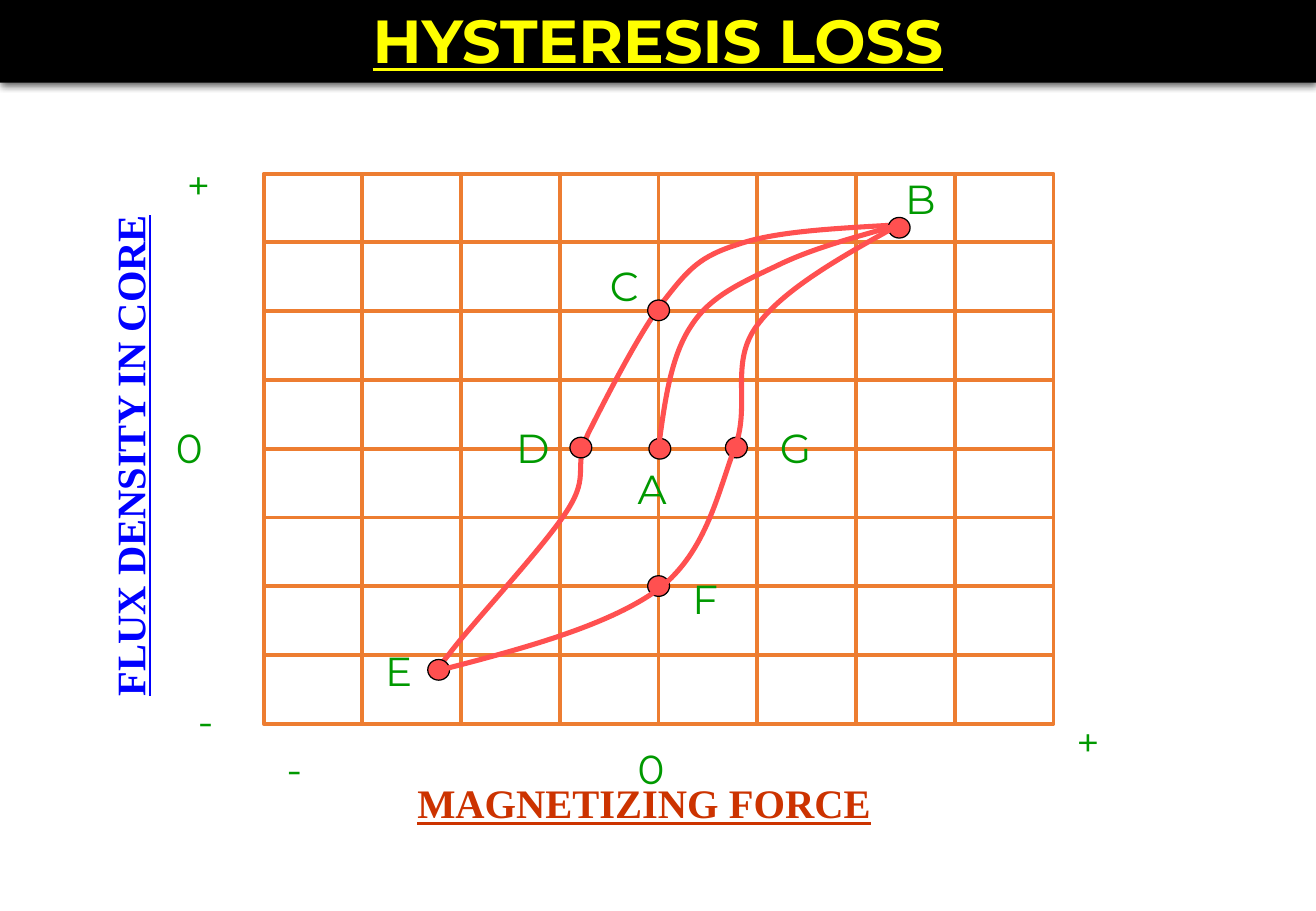
import lxml.etree
import pptx
import pptx.dml.color
import pptx.enum.shapes
import pptx.enum.text
import pptx.oxml
import pptx.util

Inches = pptx.util.Inches
Pt = pptx.util.Pt
SHAPE = pptx.enum.shapes.MSO_SHAPE
STRAIGHT = pptx.enum.shapes.MSO_CONNECTOR.STRAIGHT
ALIGN = pptx.enum.text.PP_ALIGN
qn = pptx.oxml.ns.qn

GREEN, ORANGE, RED = "009900", "ED7D31", "FF5050"
SANS, SERIF = "Montserrat", "Times New Roman"


def color(code):
    return pptx.dml.color.RGBColor.from_string(code)


def write(shape, text, size=24, font=SANS, ink=GREEN, strong=False, wrap=True, align=ALIGN.CENTER):
    """Put one line of text in a shape; strong means bold and underlined."""
    frame = shape.text_frame
    frame.word_wrap = wrap
    frame.auto_size = pptx.enum.text.MSO_AUTO_SIZE.SHAPE_TO_FIT_TEXT
    para = frame.paragraphs[0]
    para.alignment = align
    run = para.add_run()
    run.text = text
    run.font.size = Pt(size)
    run.font.name = font
    run.font.color.rgb = color(ink)
    if strong:
        run.font.bold = True
        run.font.underline = True


deck = pptx.Presentation()
deck.slide_width = Inches(10.83)
deck.slide_height = Inches(7.5)
slide = deck.slides.add_slide(deck.slide_layouts[6])
shapes = slide.shapes

# Axis titles
force = shapes.add_textbox(Inches(0.7), Inches(6.36), Inches(9.2), Inches(0.5))
write(force, "MAGNETIZING FORCE", font=SERIF, ink="CC3300", strong=True)
flux = shapes.add_textbox(Inches(-1.08), Inches(3.48), Inches(4.33), Inches(0.54))
flux.rotation = 270
write(flux, "FLUX DENSITY IN CORE", font=SERIF, ink="0000FF", strong=True)

# Grid of 8 by 8 cells, with rules across and down over their edges
left, top, wide, high, count = 2.17, 1.43, 6.5, 4.53, 8
right, base = left + wide, top + high
cols = [left + i * wide / count for i in range(count + 1)]
rows = [top + i * high / count for i in range(count + 1)]
for y in rows[:-1]:
    for x in cols[:-1]:
        cell = shapes.add_shape(
            SHAPE.RECTANGLE, Inches(x), Inches(y), Inches(wide / count), Inches(high / count))
        cell.shadow.inherit = False
        cell.fill.background()
        cell.line.color.rgb = color(ORANGE)
        cell.line.width = Pt(2.25)

rules = [(left, y, right, y) for y in rows] + [(x, top, x, base) for x in cols]
for ends in rules:
    rule = shapes.add_connector(STRAIGHT, *map(Inches, ends))
    rule.line.color.rgb = color(ORANGE)
    rule.line.width = Pt(2.25)
    lxml.etree.SubElement(rule.element.spPr, qn("a:effectLst"))

# Axis marks and point names: text, left, top, width
labels = [
    ("0", 5.15, 6.08, 0.46), ("-", 2.26, 6.08, 0.34), ("+", 8.76, 5.85, 0.46),
    ("0", 1.35, 3.43, 0.46), ("+", 1.44, 1.27, 0.46), ("-", 1.53, 5.68, 0.34),
    ("A", 5.15, 3.77, 0.5), ("B", 7.35, 1.38, 0.5), ("C", 4.92, 2.1, 0.5),
    ("D", 4.15, 3.43, 0.5), ("E", 3.07, 5.27, 0.48), ("F", 5.6, 4.68, 0.46),
    ("G", 6.32, 3.43, 0.52),
]
for text, x, y, width in labels:
    label = shapes.add_textbox(Inches(x), Inches(y), Inches(width), Inches(0.5))
    write(label, text, wrap=False, align=ALIGN.LEFT)

# Each curve is a start point, then Bezier pieces of two handles and an end
upper = [
    (7.4, 1.85),
    (6.9, 1.88), (6.4, 1.9), (6.08, 2.01),
    (5.76, 2.11), (5.67, 2.21), (5.46, 2.48),
    (5.26, 2.74), (4.98, 3.29), (4.84, 3.57),
    (4.71, 3.86), (4.86, 3.9), (4.67, 4.2),
    (4.48, 4.5), (3.87, 5.15), (3.7, 5.38),
    (3.52, 5.6), (3.62, 5.51), (3.61, 5.53),
]
lower = [
    (3.61, 5.52),
    (4.31, 5.34), (5.01, 5.15), (5.42, 4.85),
    (5.82, 4.54), (5.91, 4.04), (6.05, 3.68),
    (6.18, 3.32), (6, 2.99), (6.23, 2.68),
    (6.45, 2.38), (6.93, 2.11), (7.4, 1.85),
]
first = [
    (5.42, 3.68),
    (5.47, 3.31), (5.52, 2.93), (5.69, 2.68),
    (5.85, 2.43), (6.12, 2.32), (6.41, 2.18),
    (6.7, 2.04), (7.05, 1.95), (7.4, 1.85),
]
dots = [(5.34, 3.61), (4.69, 3.6), (5.97, 3.6), (5.33, 2.47),
        (5.33, 4.74), (3.52, 5.43), (7.31, 1.79)]
for curve in (upper, lower, first):
    start, *trail = [(Inches(x), Inches(y)) for x, y in curve]
    pen = shapes.build_freeform(*start)
    pen.add_line_segments(trail, close=False)
    loop = pen.convert_to_shape()
    loop.shadow.inherit = False
    loop.fill.background()
    loop.line.color.rgb = color(RED)
    loop.line.width = Pt(3)

    # Turn every three straight segments into one Bezier piece
    legs = list(loop.element.iter(qn("a:lnTo")))
    for i in range(0, len(legs), 3):
        bend = lxml.etree.SubElement(legs[i].getparent(), qn("a:cubicBezTo"))
        for leg in legs[i:i + 3]:
            bend.append(leg[0])
            leg.getparent().remove(leg)

    # The dots lie over the upper curve and under the other two
    if curve is upper:
        for x, y in dots:
            dot = shapes.add_shape(SHAPE.OVAL, Inches(x), Inches(y), Inches(0.18), Inches(0.17))
            dot.shadow.inherit = False
            dot.fill.solid()
            dot.fill.fore_color.rgb = color(RED)
            dot.line.color.rgb = color("000000")
            dot.line.width = Pt(0.75)

# Title bar with a soft shadow below
bar = shapes.add_shape(SHAPE.RECTANGLE, 0, Inches(-0.03), Inches(10.83), Inches(0.71))
bar.shadow.inherit = False
bar.fill.solid()
bar.fill.fore_color.rgb = color("000000")
bar.line.fill.background()
write(bar, "HYSTERESIS LOSS", size=36, ink="FFFF00", strong=True)
effects = bar.element.spPr.find(qn("a:effectLst"))
shade = lxml.etree.SubElement(
    effects, qn("a:outerShdw"), blurRad=str(Pt(4.5)), dist=str(Pt(1.5)),
    dir="5400000", algn="t", rotWithShape="0")
black = lxml.etree.SubElement(shade, qn("a:srgbClr"), val="000000")
lxml.etree.SubElement(black, qn("a:alpha"), val="63000")

deck.save("out.pptx")
